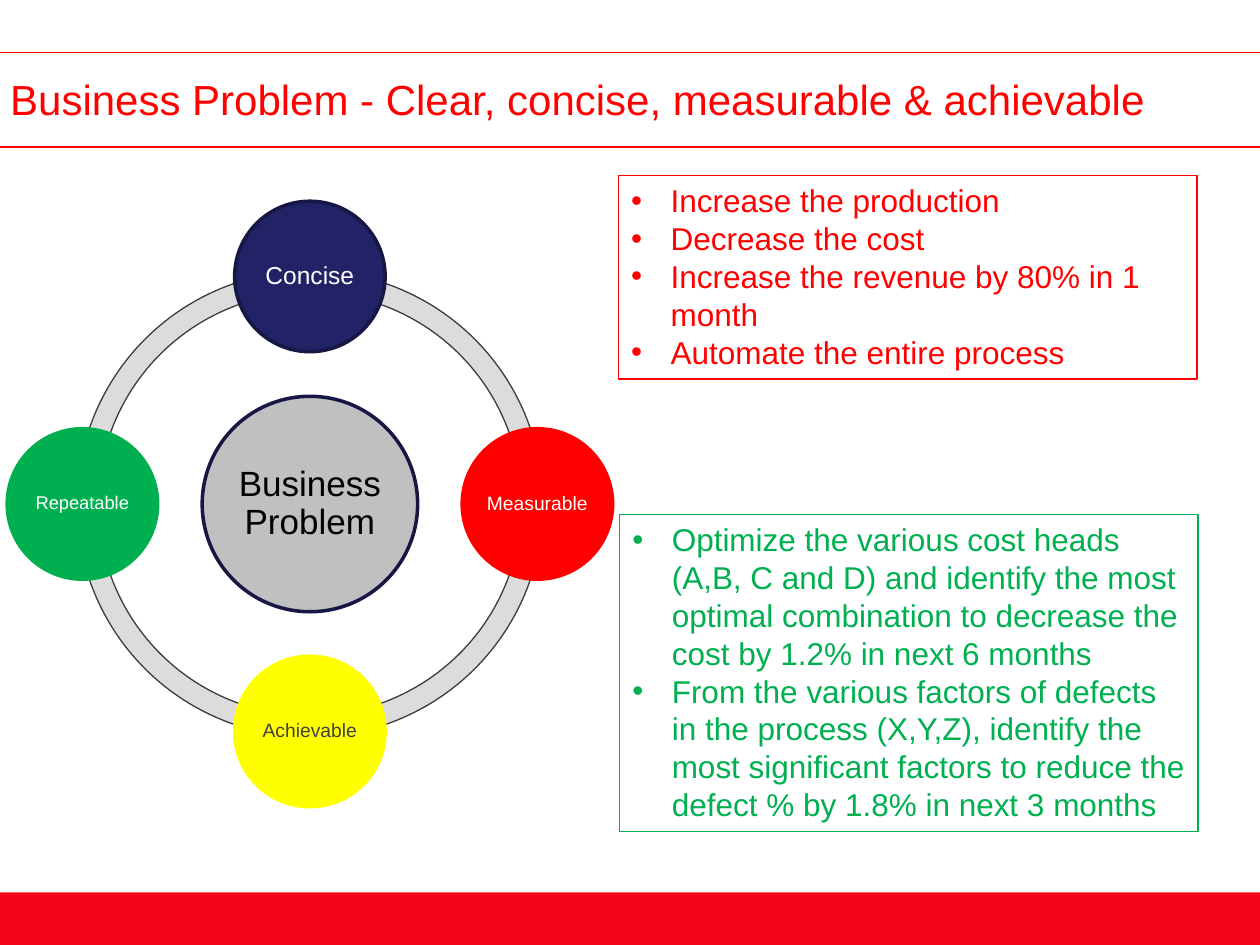
from lxml import etree
from pptx import Presentation
from pptx.dml.color import RGBColor
from pptx.enum.shapes import MSO_CONNECTOR, MSO_SHAPE
from pptx.enum.text import MSO_ANCHOR, MSO_AUTO_SIZE, PP_ALIGN
from pptx.oxml.ns import qn
from pptx.util import Pt

OVAL, ARC, RECTANGLE = MSO_SHAPE.OVAL, MSO_SHAPE.BLOCK_ARC, MSO_SHAPE.RECTANGLE
STRAIGHT = MSO_CONNECTOR.STRAIGHT
TOP, MIDDLE = MSO_ANCHOR.TOP, MSO_ANCHOR.MIDDLE
LEFT, CENTER = PP_ALIGN.LEFT, PP_ALIGN.CENTER
NO_AUTOFIT = MSO_AUTO_SIZE.NONE

RED = RGBColor(0xFF, 0x00, 0x00)
FOOTER_RED = RGBColor(0xF3, 0x06, 0x17)
GREEN = RGBColor(0x00, 0xB0, 0x50)
YELLOW = RGBColor(0xFF, 0xFF, 0x00)
NAVY = RGBColor(0x22, 0x22, 0x67)
DARK_NAVY = RGBColor(0x17, 0x17, 0x45)
SILVER = RGBColor(0xC0, 0xC0, 0xC0)
RING_GRAY = RGBColor(0xDC, 0xDC, 0xDC)
RING_EDGE = RGBColor(0x3C, 0x3C, 0x3C)
CHARCOAL = RGBColor(0x40, 0x40, 0x40)
BLACK = RGBColor(0x00, 0x00, 0x00)
WHITE = RGBColor(0xFF, 0xFF, 0xFF)

FONT = "Arial"
WIDTH, HEIGHT = 720, 540
FOOTER_TOP = 510
RULE_TOPS = (30, 84)
HUB_X, HUB_Y = 177.1, 288
ORBIT = 130
RING_SIZE, HUB_SIZE, SATELLITE_SIZE = 266.4, 123.1, 86
RING_THICKNESS = 0.046
BULLET_INDENT = 22.5

TITLE = "Business Problem - Clear, concise, measurable & achievable"
LISTS = [
    (RED, (353.5, 100.1, 330.5, 116.6), [
        "Increase the production",
        "Decrease the cost",
        "Increase the revenue by 80% in 1 month",
        "Automate the entire process",
    ]),
    (GREEN, (354.2, 293.8, 330.5, 181.4), [
        "Optimize the various cost heads (A,B, C and D) and identify the most "
        "optimal combination to decrease the cost by 1.2% in next 6 months",
        "From the various factors of defects in the process (X,Y,Z), identify the "
        "most significant factors to reduce the defect % by 1.8% in next 3 months",
    ]),
]
HUB = ("Business Problem", 20, BLACK, SILVER, DARK_NAVY)
SATELLITES = [
    ("Concise", 14, WHITE, NAVY, DARK_NAVY, (0, -1)),
    ("Measurable", 11, WHITE, RED, RED, (1, 0)),
    ("Achievable", 11, CHARCOAL, YELLOW, YELLOW, (0, 1)),
    ("Repeatable", 10.5, WHITE, GREEN, GREEN, (-1, 0)),
]


def place(shape, left, top, width, height):
    shape.left, shape.top = Pt(left), Pt(top)
    shape.width, shape.height = Pt(width), Pt(height)


def style_font(paragraph, size, color):
    paragraph.font.name = FONT
    paragraph.font.size = Pt(size)
    paragraph.font.color.rgb = color


def add_filled(page, kind, bounds, fill, edge=None, edge_width=1):
    shape = page.shapes.add_shape(kind, *map(Pt, bounds))
    shape.shadow.inherit = False
    shape.fill.solid()
    shape.fill.fore_color.rgb = fill
    if edge is None:
        shape.line.fill.background()
    else:
        shape.line.color.rgb = edge
        shape.line.width = Pt(edge_width)
    return shape


def square_at(x, y, size):
    return x - size / 2, y - size / 2, size, size


def add_circle(page, x, y, size, label, font_size, text_color, fill, edge):
    circle = add_filled(page, OVAL, square_at(x, y, size), fill, edge, 2)
    frame = circle.text_frame
    frame.word_wrap = True
    frame.vertical_anchor = MIDDLE
    frame.margin_left = frame.margin_right = frame.margin_top = frame.margin_bottom = 0
    para = frame.paragraphs[0]
    para.text = label
    para.alignment = CENTER
    para.line_spacing = 0.9
    style_font(para, font_size, text_color)


def add_rule(page, top):
    rule = page.shapes.add_connector(STRAIGHT, 0, Pt(top), Pt(WIDTH), Pt(top))
    rule.line.color.rgb = RED
    rule.line.width = Pt(1)
    etree.SubElement(rule._element.spPr, qn("a:effectLst"))


def fill_title(title):
    place(title, 5.8, 41.8, 696.2, 36)
    frame = title.text_frame
    frame.word_wrap = True
    frame.auto_size = NO_AUTOFIT
    frame.vertical_anchor = TOP
    frame.margin_left = frame.margin_top = frame.margin_bottom = 0
    para = frame.paragraphs[0]
    para.text = TITLE
    para.alignment = LEFT
    style_font(para, 24, RED)


def fill_list(box, color, bounds, items):
    place(box, *bounds)
    box.line.color.rgb = color
    box.line.width = Pt(0.75)
    frame = box.text_frame
    frame.word_wrap = True
    frame.auto_size = NO_AUTOFIT
    frame.vertical_anchor = TOP
    for index, item in enumerate(items):
        para = frame.add_paragraph() if index else frame.paragraphs[0]
        para.text = item
        properties = para._p.get_or_add_pPr()
        properties.set("marL", str(Pt(BULLET_INDENT)))
        properties.set("indent", str(-Pt(BULLET_INDENT)))
        etree.SubElement(properties, qn("a:buFont"), typeface=FONT)
        etree.SubElement(properties, qn("a:buChar"), char="•")
        para.space_before = Pt(0)
        style_font(para, 18, color)


def main():
    deck = Presentation()
    deck.slide_width, deck.slide_height = Pt(WIDTH), Pt(HEIGHT)
    page = deck.slides.add_slide(deck.slide_layouts.get_by_name("Two Content"))
    title, *boxes = page.placeholders

    add_filled(page, RECTANGLE, (0, FOOTER_TOP, WIDTH, HEIGHT - FOOTER_TOP), FOOTER_RED)
    fill_title(title)
    for top in RULE_TOPS:
        add_rule(page, top)
    for box, (color, bounds, items) in zip(boxes, LISTS):
        fill_list(box, color, bounds, items)

    quarter = 54
    for start in range(0, 4 * quarter, quarter):
        arc = add_filled(page, ARC, square_at(HUB_X, HUB_Y, RING_SIZE),
                         RING_GRAY, RING_EDGE, 0.75)
        end = (start + quarter) % (4 * quarter)
        for index, value in enumerate((start, end, RING_THICKNESS)):
            arc.adjustments[index] = value
    add_circle(page, HUB_X, HUB_Y, HUB_SIZE, *HUB)
    for *look, (across, down) in SATELLITES:
        add_circle(page, HUB_X + across * ORBIT, HUB_Y + down * ORBIT,
                   SATELLITE_SIZE, *look)

    deck.save("out.pptx")


if __name__ == "__main__":
    main()
